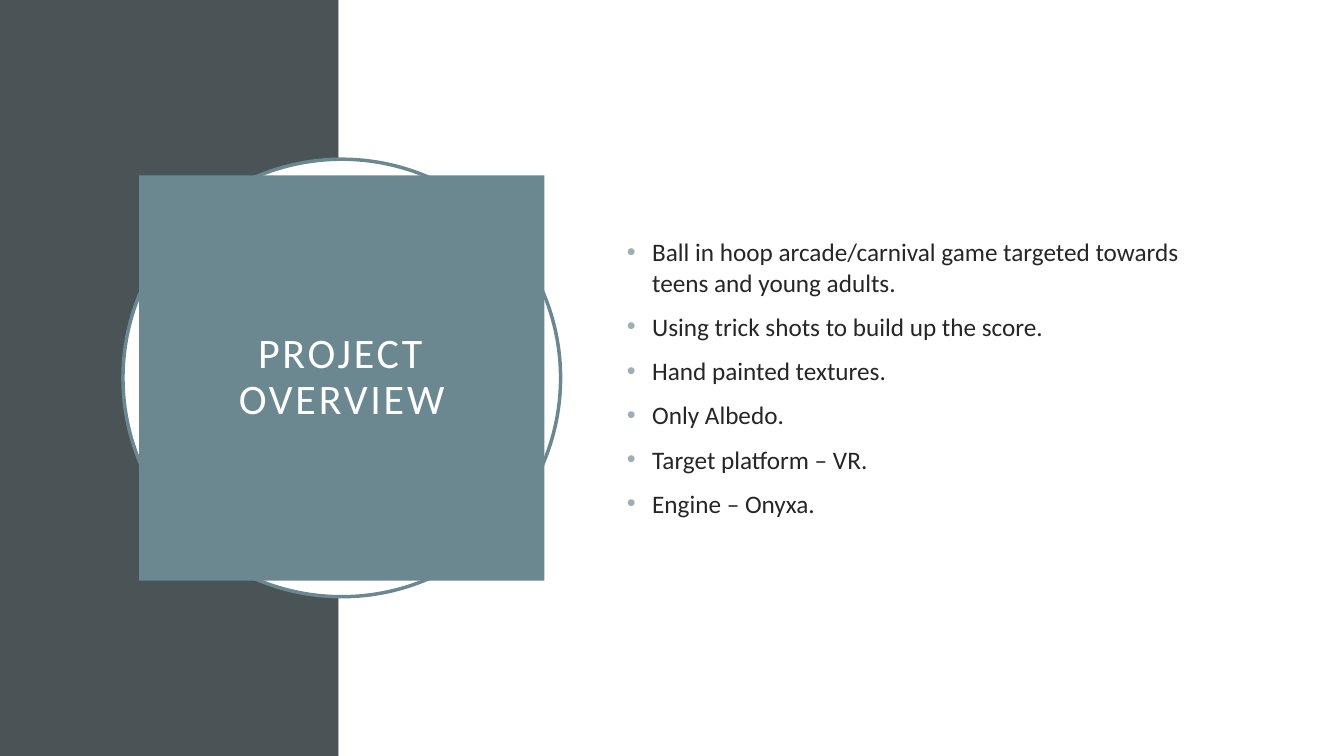
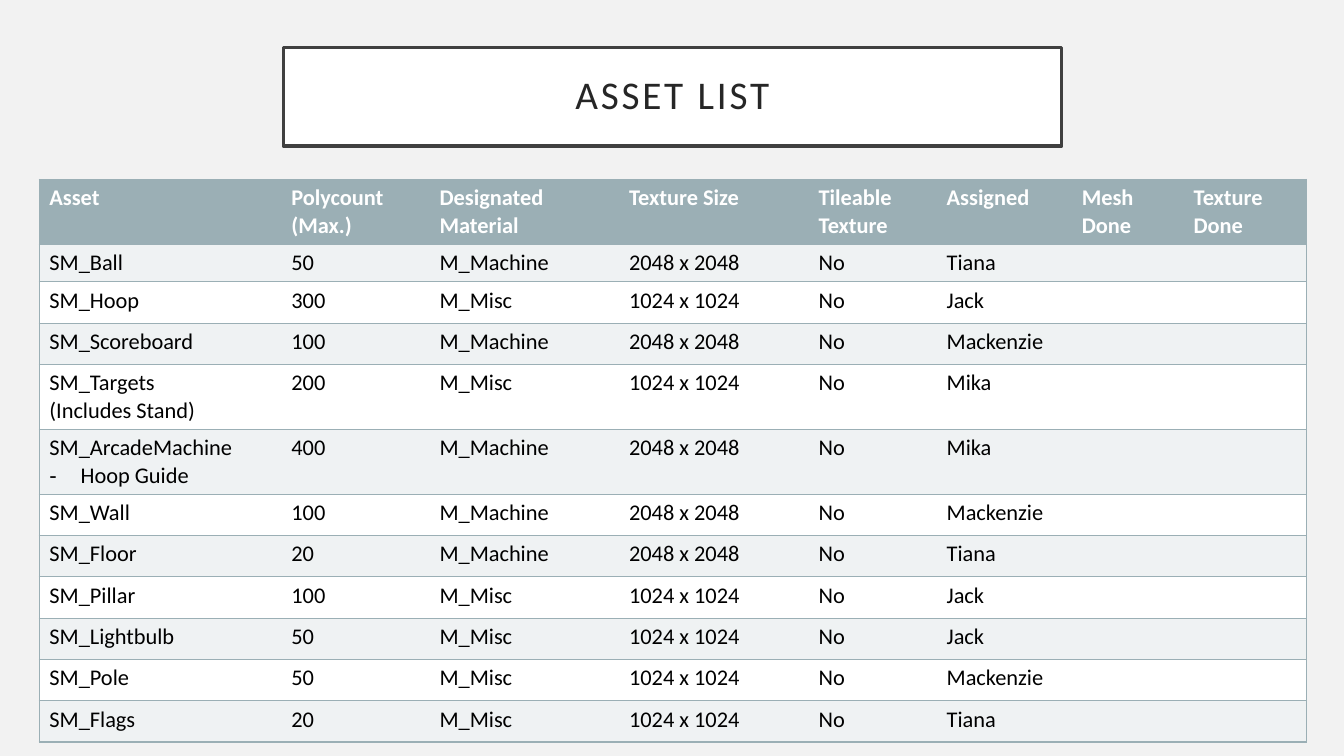
from lxml import etree
from pptx import Presentation
from pptx import util as u
from pptx.dml import color as dml_color
from pptx.enum import shapes, text
from pptx.oxml import ns

FONT = "Calibri"
WHITE = "FFFFFF"
CHARCOAL = "4A5356"
TEAL = "6B8891"
MIST = "9BAFB5"
PALE = "EFF2F3"
LIGHT_GREY = "F2F2F2"
DARK_GREY = "404040"
INK = "262626"
BLACK = "000000"

SLIDE_WIDTH, SLIDE_HEIGHT = 13.33, 7.5
TITLE_ONLY = 5

OVERVIEW = [
    "Ball in hoop arcade/carnival game targeted towards teens and young adults.",
    "Using trick shots to build up the score.",
    "Hand painted textures.",
    "Only Albedo.",
    "Target platform – VR.",
    "Engine – Onyxa.",
]

COLUMNS = [
    ("Asset", 2.4), ("Polycount (Max.)", 1.47), ("Designated Material", 1.88),
    ("Texture Size", 1.88), ("Tileable Texture", 1.27), ("Assigned", 1.34),
    ("Mesh Done", 1.11), ("Texture Done", 1.22),
]
LARGE, SMALL = "2048 x 2048", "1024 x 1024"
MACHINE, MISC = "M_Machine", "M_Misc"
ASSETS = [
    ("SM_Ball", 50, MACHINE, LARGE, "Tiana"),
    ("SM_Hoop", 300, MISC, SMALL, "Jack"),
    ("SM_Scoreboard", 100, MACHINE, LARGE, "Mackenzie"),
    ("SM_Targets\n(Includes Stand)", 200, MISC, SMALL, "Mika"),
    ("SM_ArcadeMachine\nHoop Guide", 400, MACHINE, LARGE, "Mika"),
    ("SM_Wall", 100, MACHINE, LARGE, "Mackenzie"),
    ("SM_Floor", 20, MACHINE, LARGE, "Tiana"),
    ("SM_Pillar", 100, MISC, SMALL, "Jack"),
    ("SM_Lightbulb", 50, MISC, SMALL, "Jack"),
    ("SM_Pole", 50, MISC, SMALL, "Mackenzie"),
    ("SM_Flags", 20, MISC, SMALL, "Tiana"),
]
TWO_LINE_ROW, SHORT_ROW, ROW = 0.64, 0.37, 0.41


def rgb(value):
    return dml_color.RGBColor.from_string(value)


def inches(box):
    return [u.Inches(length) for length in box]


def paint(shape, fill, line=None):
    shape.fill.solid()
    shape.fill.fore_color.rgb = rgb(fill)
    if line:
        shape.line.color.rgb = rgb(line)
        shape.line.width = u.Pt(2.5)
    else:
        shape.line.fill.background()


def format_runs(paragraph, size, color, bold=False):
    for run in paragraph.runs:
        run.font.name = FONT
        run.font.size = u.Pt(size)
        run.font.bold = bold
        run.font.color.rgb = rgb(color)


def add_bullet(paragraph, character, indent, color=None):
    properties = paragraph._p.get_or_add_pPr()
    properties.set("marL", str(u.Inches(indent)))
    properties.set("indent", str(-u.Inches(indent)))
    if color:
        bullet_color = etree.SubElement(properties, ns.qn("a:buClr"))
        etree.SubElement(bullet_color, ns.qn("a:srgbClr"), val=color)
    etree.SubElement(properties, ns.qn("a:buFont"), typeface="Arial")
    etree.SubElement(properties, ns.qn("a:buChar"), char=character)


def add_panel(slide, kind, box, fill, line=None):
    panel = slide.shapes.add_shape(kind, *inches(box))
    panel.shadow.inherit = False
    paint(panel, fill, line)


def add_titled_slide(presentation, background):
    slide = presentation.slides.add_slide(presentation.slide_layouts[TITLE_ONLY])
    slide.background.fill.solid()
    slide.background.fill.fore_color.rgb = rgb(background)
    return slide


def place_title(slide, box, caption, size, color, fill, line=None):
    """Format the title placeholder and bring it in front of earlier shapes."""
    title = slide.shapes.title
    slide.shapes._spTree.append(title._element)
    title.left, title.top, title.width, title.height = inches(box)
    paint(title, fill, line)
    frame = title.text_frame
    frame.text = caption
    frame.word_wrap = True
    frame.auto_size = text.MSO_AUTO_SIZE.NONE
    frame.vertical_anchor = text.MSO_ANCHOR.MIDDLE
    frame.margin_left = frame.margin_right = u.Inches(0.2)
    frame.margin_top = frame.margin_bottom = u.Inches(0.2)
    paragraph = frame.paragraphs[0]
    paragraph.alignment = text.PP_ALIGN.CENTER
    paragraph.line_spacing = 0.9
    format_runs(paragraph, size, color)
    for run in paragraph.runs:
        run._r.get_or_add_rPr().set("spc", "200")


def add_emblem(slide, box):
    """Ringed circle with the title square centred on it."""
    left, top, width, height = box
    inset = 0.16
    add_panel(slide, shapes.MSO_SHAPE.OVAL, box, WHITE, TEAL)
    square = (left + inset, top + inset, width - 2 * inset, height - 2 * inset)
    place_title(slide, square, "PROJECT OVERVIEW", 30, WHITE, TEAL)


def add_bullet_list(slide, box, items):
    frame = slide.shapes.add_textbox(*inches(box)).text_frame
    frame.word_wrap = True
    frame.vertical_anchor = text.MSO_ANCHOR.MIDDLE
    frame.text = "\n".join(items)
    for paragraph in frame.paragraphs:
        paragraph.space_before = u.Pt(10)
        format_runs(paragraph, 18, INK)
        add_bullet(paragraph, "•", 0.25, MIST)


def set_borders(cell, first, last):
    """Rule every row; close the table at its first and last columns."""
    properties = cell._tc.get_or_add_tcPr()
    for side, visible in (("L", first), ("R", last), ("T", True), ("B", True)):
        border = etree.SubElement(properties, ns.qn(f"a:ln{side}"), w=str(u.Pt(1)))
        if visible:
            fill = etree.SubElement(border, ns.qn("a:solidFill"))
            etree.SubElement(fill, ns.qn("a:srgbClr"), val=MIST)
        else:
            etree.SubElement(border, ns.qn("a:noFill"))


def row_height(index, values):
    if index == 0 or "\n" in values[0]:
        return TWO_LINE_ROW
    return SHORT_ROW if index == 1 else ROW


def fill_cell(cell, value, fill, color, bold):
    cell.fill.solid()
    cell.fill.fore_color.rgb = rgb(fill)
    cell.text_frame.text = value
    for paragraph in cell.text_frame.paragraphs:
        format_runs(paragraph, 16, color, bold)
        if not paragraph.runs:
            ending = etree.SubElement(paragraph._p, ns.qn("a:endParaRPr"))
            ending.set("sz", "1600")
        if paragraph.text == "Hoop Guide":
            add_bullet(paragraph, "-", 0.31)


def add_asset_table(slide, left, top):
    headings = [heading for heading, _ in COLUMNS]
    rows = [headings] + [
        [name, str(polycount), material, size, "No", person, "", ""]
        for name, polycount, material, size, person in ASSETS
    ]
    heights = [row_height(index, values) for index, values in enumerate(rows)]
    box = (left, top, sum(width for _, width in COLUMNS), sum(heights))
    table = slide.shapes.add_table(len(rows), len(COLUMNS), *inches(box)).table
    table.horz_banding = False
    for column, (_, width) in zip(table.columns, COLUMNS):
        column.width = u.Inches(width)
    for r, values in enumerate(rows):
        table.rows[r].height = u.Inches(heights[r])
        if r == 0:
            fill, color = MIST, WHITE
        else:
            fill, color = (PALE if r % 2 else WHITE), BLACK
        for c, value in enumerate(values):
            cell = table.cell(r, c)
            set_borders(cell, c == 0, c == len(COLUMNS) - 1)
            fill_cell(cell, value, fill, color, r == 0)


def build_overview(presentation):
    slide = add_titled_slide(presentation, WHITE)
    band = 3.36
    rectangle = shapes.MSO_SHAPE.RECTANGLE
    add_panel(slide, rectangle, (0, 0, band, SLIDE_HEIGHT), CHARCOAL)
    add_panel(slide, rectangle, (band, 0, SLIDE_WIDTH - band, SLIDE_HEIGHT), WHITE)
    add_emblem(slide, (1.22, 1.58, 4.34, 4.34))
    add_bullet_list(slide, (6.12, 1.53, 5.82, 4.43), OVERVIEW)


def build_asset_list(presentation):
    slide = add_titled_slide(presentation, LIGHT_GREY)
    place_title(slide, (2.81, 0.47, 7.72, 0.98), "ASSET LIST", 28, INK, WHITE, DARK_GREY)
    add_asset_table(slide, 0.39, 1.78)


def main():
    presentation = Presentation()
    presentation.slide_width = u.Inches(SLIDE_WIDTH)
    presentation.slide_height = u.Inches(SLIDE_HEIGHT)
    build_overview(presentation)
    build_asset_list(presentation)
    presentation.save("out.pptx")


if __name__ == "__main__":
    main()
